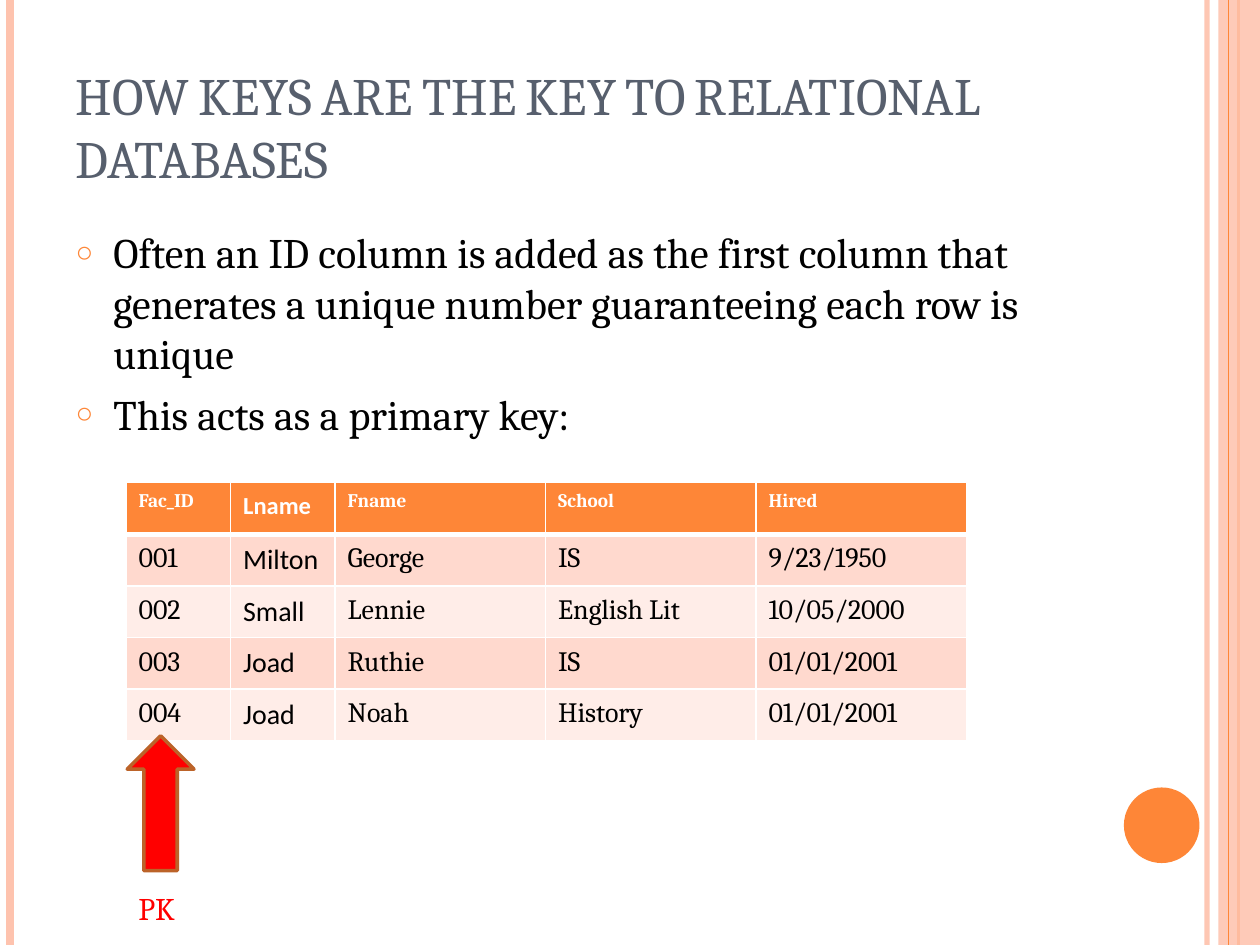
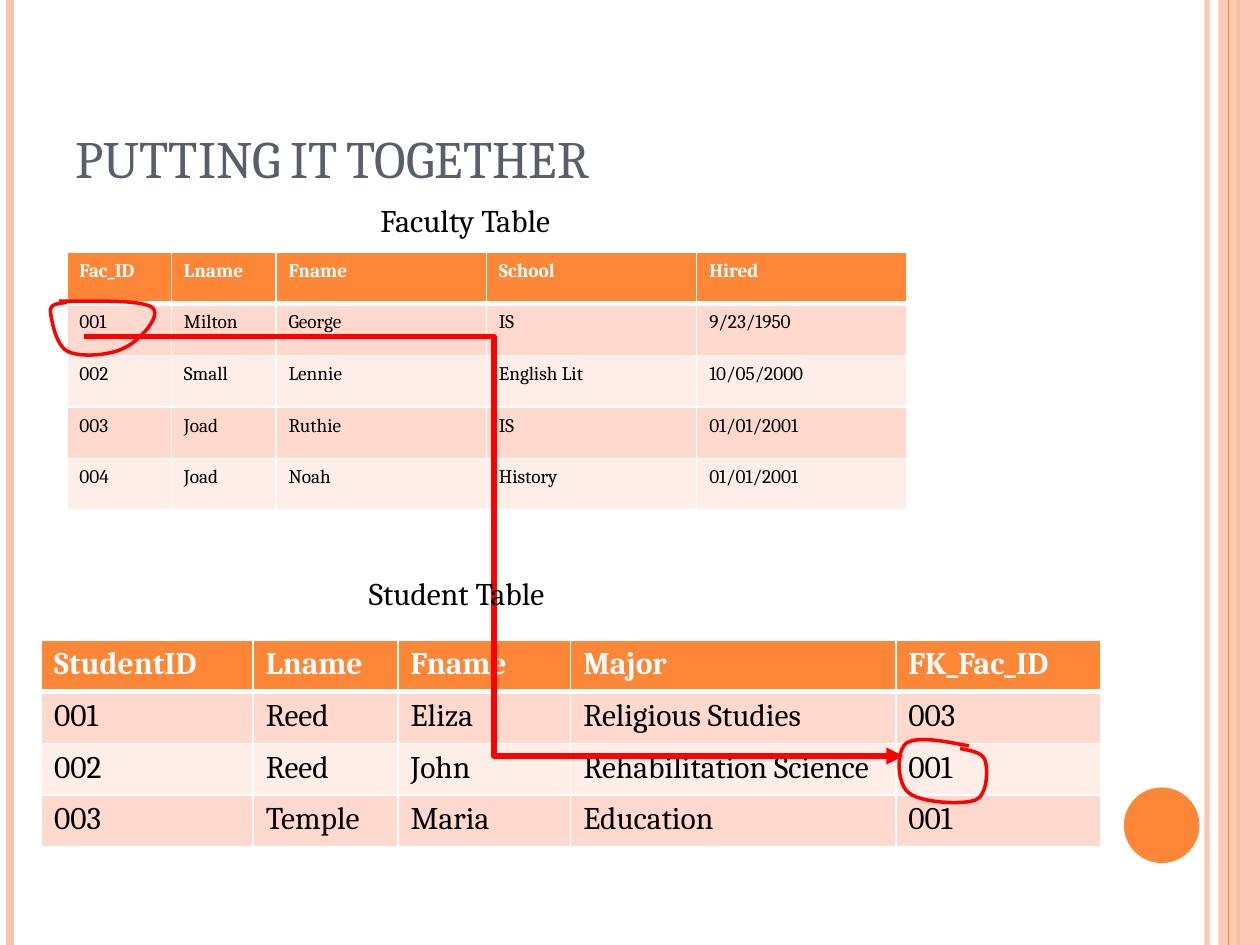
from lxml.etree import SubElement
from pptx import Presentation
from pptx.dml.color import RGBColor
from pptx.enum.shapes import MSO_CONNECTOR, MSO_SHAPE
from pptx.enum.text import MSO_ANCHOR, MSO_AUTO_SIZE, PP_ALIGN
from pptx.oxml.ns import qn
from pptx.util import Inches, Pt

# Shared colours and font
ORANGE, PEACH, SLATE = "FE8637", "FEC3AE", "575F6D"
RED, RUST, BLACK, WHITE = "FF0000", "BC6329", "000000", "FFFFFF"
BANDS = ["FFD9CE", "FFEDE8"]
SERIF, SANS = "Cambria", "Calibri"

# Text formats
TITLE = {"name": SERIF, "size": Pt(30), "bold": False, "color": SLATE}
BODY = {"name": SERIF, "size": Pt(24), "color": BLACK}
LABEL = {"name": SERIF, "size": Pt(18), "color": BLACK}
HEAD = {"name": SERIF, "size": Pt(11), "bold": True, "color": WHITE}
CELL = {"name": SERIF, "size": Pt(11), "bold": False, "color": BLACK}
SPACED = {"line_spacing": 1.07, "space_after": Pt(8)}

# Table contents
STAFF = [
    ["Fac_ID", "Lname", "Fname", "School", "Hired"],
    ["001", "Milton", "George", "IS", "9/23/1950"],
    ["002", "Small", "Lennie", "English Lit", "10/05/2000"],
    ["003", "Joad", "Ruthie", "IS", "01/01/2001"],
    ["004", "Joad", "Noah", "History", "01/01/2001"],
]
STAFF_COLS = [0.83, 0.83, 1.67, 1.67, 1.67]
PUPILS = [
    ["StudentID", "Lname", "Fname", "Major", "FK_Fac_ID"],
    ["001", "Reed", "Eliza", "Religious Studies", "003"],
    ["002", "Reed", "John", "Rehabilitation Science", "001"],
    ["003", "Temple", "Maria", "Education", "001"],
]
PUPIL_COLS = [1.68, 1.15, 1.37, 2.58, 1.63]
ROW = 0.41

# Hand-drawn rings: a start point, then two controls and an end per curve
KEY_RING = [(0.47, 2.39),
            (0.8, 2.39), (1.12, 2.38), (1.21, 2.44),
            (1.29, 2.51), (1.1, 2.71), (0.99, 2.76),
            (0.88, 2.82), (0.64, 2.84), (0.54, 2.79),
            (0.44, 2.74), (0.41, 2.54), (0.4, 2.47),
            (0.4, 2.41), (0.46, 2.41), (0.53, 2.4)]
LINK_RING = [(7.69, 5.92),
             (7.48, 5.88), (7.28, 5.84), (7.19, 5.9),
             (7.11, 5.97), (7.12, 6.22), (7.21, 6.29),
             (7.3, 6.37), (7.63, 6.39), (7.74, 6.35),
             (7.84, 6.31), (7.84, 6.11), (7.82, 6.04),
             (7.8, 5.97), (7.71, 5.96), (7.62, 5.94)]


def paint(part, shade, alpha=100):
    """Give a fill a solid colour, see-through below 100 percent."""
    part.solid()
    part.fore_color.rgb = RGBColor.from_string(shade)
    if alpha < 100:
        tone = part.fore_color._xFill.find(qn("a:srgbClr"))
        SubElement(tone, qn("a:alpha"), val=str(alpha * 1000))


def style(target, looks):
    for key, value in looks.items():
        if key == "color":
            paint(target.fill, value)
        else:
            setattr(target, key, value)


def write(para, text, looks):
    run = para.add_run()
    run.text = text
    style(run.font, looks)
    return run


def place(shape, *box):
    for side, value in zip(("left", "top", "width", "height"), box):
        setattr(shape, side, Inches(value))


def add_line(slide, kind, start, end, shade, width, alpha=100):
    line = slide.shapes.add_connector(kind, *map(Inches, start + end))
    line.line.width = Pt(width)
    paint(line.line.fill, shade, alpha)
    SubElement(line.element.spPr, qn("a:effectLst"))
    return line


def add_shape(slide, kind, box, shade, alpha=100):
    shape = slide.shapes.add_shape(kind, *map(Inches, box))
    shape.shadow.inherit = False
    paint(shape.fill, shade, alpha)
    shape.line.fill.background()
    return shape


def add_frame(slide, master):
    """Draw the side bands and the disc, then move them to the master."""
    def rule(x, shade, width, alpha=100):
        return add_line(slide, MSO_CONNECTOR.STRAIGHT, (x, 0), (x, 7.5),
                        shade, width, alpha)

    parts = [
        rule(9.58, PEACH, 3, 93),
        rule(0.08, PEACH, 4.5),
        rule(9.83, ORANGE, 1.5),
        add_shape(slide, MSO_SHAPE.RECTANGLE, (9.67, 0, 0.33, 7.5), PEACH, 87),
        rule(9.75, ORANGE, 0.75),
        add_shape(slide, MSO_SHAPE.OVAL, (8.92, 6.25, 0.6, 0.6), ORANGE),
    ]
    for part in parts:
        master.shapes.element.append(part.element)


def set_title(slide, text):
    title = slide.shapes.title
    place(title, 0.5, 0.3, 8.17, 1.25)
    frame = title.text_frame
    frame.auto_size = MSO_AUTO_SIZE.NONE
    frame.vertical_anchor = MSO_ANCHOR.BOTTOM
    para = frame.paragraphs[0]
    para.alignment = PP_ALIGN.LEFT
    run = write(para, text, TITLE)
    run.font._element.set("cap", "small")


def set_list(slide, items):
    body = slide.placeholders[1]
    place(body, 0.5, 1.75, 8.17, 5.33)
    frame = body.text_frame
    frame.auto_size = MSO_AUTO_SIZE.NONE
    for i, item in enumerate(items):
        para = frame.add_paragraph() if i else frame.paragraphs[0]
        para.space_before = Pt(6)
        write(para, item, BODY)
        # Hanging orange ring as bullet
        props = para._p.get_or_add_pPr()
        props.set("marL", str(Inches(0.3)))
        props.set("indent", str(-Inches(0.3)))
        tone = SubElement(props, qn("a:buClr"))
        SubElement(tone, qn("a:srgbClr"), val=ORANGE)
        SubElement(props, qn("a:buSzPct"), val="70000")
        SubElement(props, qn("a:buChar"), char="\u25cb")


def add_label(slide, text, box, shade=BLACK):
    label = slide.shapes.add_textbox(*map(Inches, box))
    label.text_frame.word_wrap = False
    label.text_frame.auto_size = MSO_AUTO_SIZE.SHAPE_TO_FIT_TEXT
    write(label.text_frame.paragraphs[0], text, LABEL | {"color": shade})


def edge(cell, head):
    """White cell borders, thicker below the header."""
    props = cell._tc.get_or_add_tcPr()
    for i, side in enumerate(("lnL", "lnR", "lnT", "lnB")):
        width = 3 if head and side == "lnB" else 1
        line = props.makeelement(qn("a:" + side), {"w": str(Pt(width))})
        fill = SubElement(line, qn("a:solidFill"))
        SubElement(fill, qn("a:srgbClr"), val=WHITE)
        props.insert(i, line)


def add_grid(slide, rows, cols, left, top, looks, space):
    """Add a banded table; looks(row, col) gives extra font values."""
    box = (left, top, sum(cols), ROW * len(rows))
    grid = slide.shapes.add_table(len(rows), len(cols),
                                  *map(Inches, box)).table
    for col, width in zip(grid.columns, cols):
        col.width = Inches(width)
    for r, row in enumerate(rows):
        grid.rows[r].height = Inches(ROW)
        for c, text in enumerate(row):
            cell = grid.cell(r, c)
            paint(cell.fill, BANDS[(r - 1) % 2] if r else ORANGE)
            edge(cell, r == 0)
            para = cell.text_frame.paragraphs[0]
            style(para, space)
            write(para, text, (CELL if r else HEAD) | looks(r, c))


def add_ring(slide, points):
    """Trace a chain of cubic curves as a red open outline."""
    steps = 12
    trace = []
    for i in range(0, len(points) - 1, 3):
        curve = points[i:i + 4]
        for n in range(1, steps + 1):
            t = n / steps
            parts = ((1 - t) ** 3, 3 * t * (1 - t) ** 2,
                     3 * t * t * (1 - t), t ** 3)
            trace.append(tuple(
                Inches(sum(w * p[axis] for w, p in zip(parts, curve)))
                for axis in (0, 1)))
    pen = slide.shapes.build_freeform(*map(Inches, points[0]))
    pen.add_line_segments(trace, close=False)
    ring = pen.convert_to_shape()
    ring.shadow.inherit = False
    ring.fill.background()
    ring.line.width = Pt(2)
    paint(ring.line.fill, RED)


def key_looks(row, col):
    """Larger text, with the last names in the sans font."""
    looks = {"size": Pt(16)} if row else {}
    if col == 1:
        looks = {"size": Pt(16 if row else 14), "name": SANS}
    return looks


def build_keys(slide):
    set_title(slide, "HOW KEYS ARE THE KEY TO RELATIONAL DATABASES")
    set_list(slide, [
        "Often an ID column is added as the first column that generates "
        "a unique number guaranteeing each row is unique",
        "This acts as a primary key:",
    ])
    add_grid(slide, STAFF, STAFF_COLS, 1, 3.83, key_looks, SPACED)
    add_label(slide, "PK", (1, 7.01, 0.57, 0.4), RED)
    # Arrow up to the key column
    arrow = add_shape(slide, MSO_SHAPE.RIGHT_ARROW,
                      (0.74, 6.11, 1.07, 0.53), RED)
    arrow.rotation = 270
    arrow.line.width = Pt(2)
    paint(arrow.line.fill, RUST)


def build_links(slide):
    set_title(slide, "PUTTING IT TOGETHER")
    add_grid(slide, STAFF, STAFF_COLS, 0.53, 2, lambda r, c: {}, SPACED)
    add_label(slide, "Faculty Table", (2.92, 1.55, 1.81, 0.4))
    add_grid(slide, PUPILS, PUPIL_COLS, 0.33, 5.08,
             lambda r, c: {"size": Pt(18)}, {})
    # Link from primary key to foreign key
    link = add_line(slide, MSO_CONNECTOR.ELBOW, (0.67, 2.67), (7.17, 6),
                    RED, 3.25)
    SubElement(link.line._get_or_add_ln(), qn("a:tailEnd"), type="triangle")
    add_label(slide, "Student Table", (2.83, 4.51, 1.86, 0.4))
    for ring in (KEY_RING, LINK_RING):
        add_ring(slide, ring)


def main():
    deck = Presentation()
    deck.slide_width, deck.slide_height = Inches(10), Inches(7.5)
    keys = deck.slides.add_slide(deck.slide_layouts[1])
    add_frame(keys, deck.slide_master)
    build_keys(keys)
    build_links(deck.slides.add_slide(deck.slide_layouts[5]))
    deck.save("out.pptx")


main()
